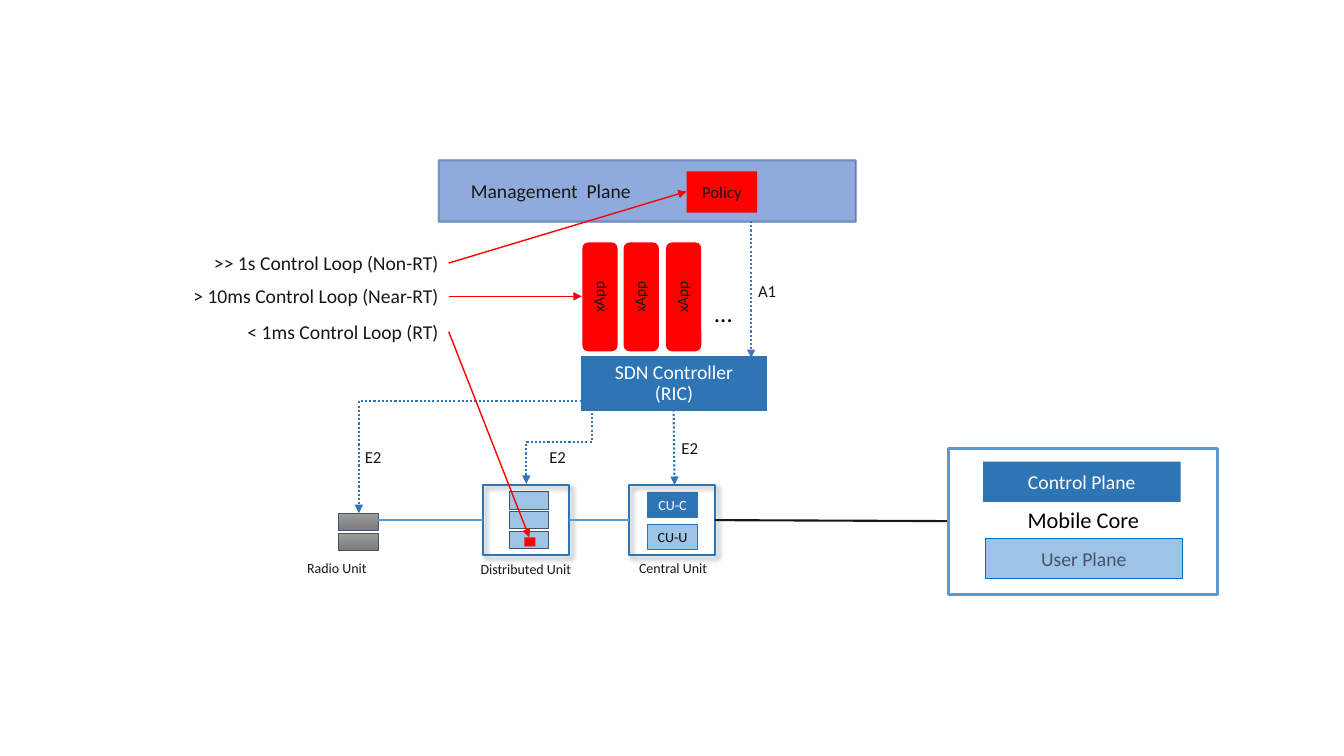
from lxml import etree
from pptx import Presentation
from pptx.dml.color import RGBColor
from pptx.enum.dml import MSO_LINE
from pptx.enum.shapes import MSO_CONNECTOR, MSO_SHAPE
from pptx.enum.text import MSO_ANCHOR, MSO_AUTO_SIZE, PP_ALIGN
from pptx.oxml.ns import qn
from pptx.util import Inches, Pt

RECTANGLE, ROUNDED = MSO_SHAPE.RECTANGLE, MSO_SHAPE.ROUNDED_RECTANGLE
STRAIGHT, ELBOW = MSO_CONNECTOR.STRAIGHT, MSO_CONNECTOR.ELBOW
DOTTED = MSO_LINE.ROUND_DOT
MIDDLE, TOP = MSO_ANCHOR.MIDDLE, MSO_ANCHOR.TOP
LEFT, CENTER, RIGHT = PP_ALIGN.LEFT, PP_ALIGN.CENTER, PP_ALIGN.RIGHT
FIT_SHAPE = MSO_AUTO_SIZE.SHAPE_TO_FIT_TEXT

INK, BLACK, WHITE, RED = "181717", "000000", "FFFFFF", "FF0000"
BLUE, SKY, PALE, SLATE = "2E75B6", "5B9BD5", "9DC3E6", "44546A"


def color(value):
    return RGBColor.from_string(value)


class Diagram:
    font = "Calibri"

    def __init__(self, page):
        self.page = page

    def add_text(self, frame, text, size, ink, align, spacing=None):
        for index, words in enumerate(text.split("\n")):
            para = frame.paragraphs[0] if index == 0 else frame.add_paragraph()
            para.alignment = align
            if spacing:
                para.line_spacing = spacing
            span = para.add_run()
            span.text = words
            span.font.name = self.font
            span.font.size = Pt(size)
            span.font.color.rgb = color(ink)

    def box(self, left, top, width, height, fill=None, line=None, weight=0.5,
            text="", size=14, ink=INK, align=CENTER, spacing=None,
            kind=RECTANGLE, rotation=0, indent=0):
        box = self.page.shapes.add_shape(
            kind, Inches(left), Inches(top), Inches(width), Inches(height))
        box.shadow.inherit = False
        box.rotation = rotation
        if isinstance(fill, tuple):
            box.fill.gradient()
            box.fill.gradient_angle = 270
            for stop, shade in zip(box.fill.gradient_stops, fill):
                stop.color.rgb = color(shade)
        elif fill:
            box.fill.solid()
            box.fill.fore_color.rgb = color(fill)
        else:
            box.fill.background()
        if line:
            box.line.color.rgb = color(line)
            box.line.width = Pt(weight)
        else:
            box.line.fill.background()
        if text:
            frame = box.text_frame
            frame.word_wrap = True
            frame.vertical_anchor = MIDDLE
            frame.margin_left, frame.margin_right = Inches(indent), 0
            self.add_text(frame, text, size, ink, align, spacing)
        return box

    def label(self, left, top, width, height, text, size, ink=INK, align=LEFT):
        box = self.page.shapes.add_textbox(
            Inches(left), Inches(top), Inches(width), Inches(height))
        frame = box.text_frame
        frame.word_wrap = False
        frame.auto_size = FIT_SHAPE
        frame.vertical_anchor = TOP
        self.add_text(frame, text, size, ink, align)

    def link(self, start, end, ink, weight=1.5, dash=None, arrow=False, kind=STRAIGHT):
        link = self.page.shapes.add_connector(kind, *map(Inches, start + end))
        link.line.color.rgb = color(ink)
        link.line.width = Pt(weight)
        if dash:
            link.line.dash_style = dash
        properties = link._element.spPr
        if arrow:
            etree.SubElement(properties.find(qn("a:ln")), qn("a:tailEnd"), type="triangle")
        etree.SubElement(properties, qn("a:effectLst"))
        return link

    def unit(self, left):
        unit = self.box(left, 4.81, 0.85, 0.7, line=BLUE, weight=1.5)
        effects = unit._element.spPr.find(qn("a:effectLst"))
        shadow = etree.SubElement(
            effects, qn("a:outerShdw"), blurRad=str(Pt(4)), dist=str(Pt(3)),
            dir="2700000", algn="tl", rotWithShape="0")
        tint = etree.SubElement(shadow, qn("a:srgbClr"), val=BLACK)
        etree.SubElement(tint, qn("a:alpha"), val="40000")


def draw_interfaces(diagram):
    diagram.link((7.45, 2.11), (7.45, 3.55), "4472C4", dash=DOTTED, arrow=True)
    diagram.link((6.68, 3.98), (6.69, 4.81), BLUE, dash=DOTTED, arrow=True)
    bend = diagram.link((5.13, 4.06), (5.96, 4.71), BLUE, dash=DOTTED, arrow=True, kind=ELBOW)
    bend._element.spPr.find(qn("a:xfrm")).set("rot", "5400000")
    corner = diagram.link((5.77, 3.98), (3.56, 5.09), BLUE, dash=DOTTED, arrow=True, kind=ELBOW)
    corner._element.spPr.find(qn("a:prstGeom")).set("prst", "bentConnector2")


def draw_units(diagram):
    for top in (4.88, 5.07, 5.27):
        diagram.box(5.05, top, 0.39, 0.17, PALE, SLATE)
    for top in (5.09, 5.29):
        diagram.box(3.36, top, 0.39, 0.17, ("9D9D9D", "7C7C7C"), SLATE)
    diagram.box(6.42, 4.88, 0.5, 0.25, BLUE, BLUE, text="CU-C", size=10, ink=WHITE)
    diagram.box(6.42, 5.2, 0.5, 0.25, PALE, BLUE, text="CU-U", size=10, ink=BLACK)
    for left in (4.79, 6.24):
        diagram.unit(left)
    for left, top, width, name in ((2.94, 5.5, 0.8, "Radio Unit"),
                                   (4.66, 5.51, 1.11, "Distributed Unit"),
                                   (6.23, 5.5, 0.89, "Central Unit")):
        diagram.label(left, top, width, 0.27, name, 10, align=CENTER)
    diagram.link((6.24, 5.16), (5.64, 5.16), SKY)
    diagram.link((4.79, 5.16), (3.74, 5.16), SKY)
    diagram.link((9.41, 5.17), (7.09, 5.16), INK)


def draw_control(diagram):
    diagram.box(5.77, 3.54, 1.83, 0.53, BLUE, BLUE,
                text="SDN Controller\n(RIC)", ink=WHITE, spacing=0.9)
    for left in (5.41, 5.82, 6.24):
        diagram.box(left, 2.77, 1.08, 0.35, RED, text="xApp", size=11,
                    spacing=0.8, kind=ROUNDED, rotation=270)
    diagram.label(6.99, 2.9, 0.38, 0.4, "…", 18, BLACK)
    diagram.box(5.2, 5.33, 0.11, 0.09, RED)
    plane = diagram.box(4.35, 1.59, 4.14, 0.61, "8FAADC", "2F5597", 1.5,
                        "Management  Plane", align=LEFT, indent=0.32)
    outline = plane._element.spPr.find(qn("a:ln")).find(".//" + qn("a:srgbClr"))
    etree.SubElement(outline, qn("a:alpha"), val="50000")
    diagram.box(6.81, 1.7, 0.7, 0.41, RED, text="Policy", size=12)


def draw_loops(diagram):
    for top, width, text, start, target in (
            (3.12, 2.11, "< 1ms Control Loop (RT)", 3.29, (5.25, 5.33)),
            (2.77, 2.65, "> 10ms Control Loop (Near-RT)", 2.94, (5.77, 2.94)),
            (2.44, 2.45, ">> 1s Control Loop (Non-RT)", 2.61, (6.81, 1.9))):
        diagram.label(4.45 - width, top, width, 0.34, text, 14, align=RIGHT)
        diagram.link((4.45, start), target, RED, 1, arrow=True)


def draw_core(diagram):
    diagram.box(9.41, 4.45, 2.67, 1.45, WHITE, SKY, 2.25, "Mobile Core", 16, BLACK, spacing=0.8)
    diagram.box(9.75, 4.58, 1.96, 0.4, BLUE, text="Control Plane", ink=WHITE)
    diagram.box(9.77, 5.34, 1.96, 0.4, PALE, "0070C0", text="User Plane", ink=SLATE)


def main():
    deck = Presentation()
    deck.slide_width, deck.slide_height = Inches(13.33), Inches(7.5)
    diagram = Diagram(deck.slides.add_slide(deck.slide_layouts[6]))
    draw_interfaces(diagram)
    draw_units(diagram)
    draw_control(diagram)
    draw_loops(diagram)
    draw_core(diagram)
    for left, top, width, name in ((7.42, 2.74, 0.39, "A1"), (6.66, 4.29, 0.37, "E2"),
                                   (5.35, 4.38, 0.37, "E2"), (3.52, 4.38, 0.37, "E2")):
        diagram.label(left, top, width, 0.3, name, 12)
    deck.save("out.pptx")


if __name__ == "__main__":
    main()
